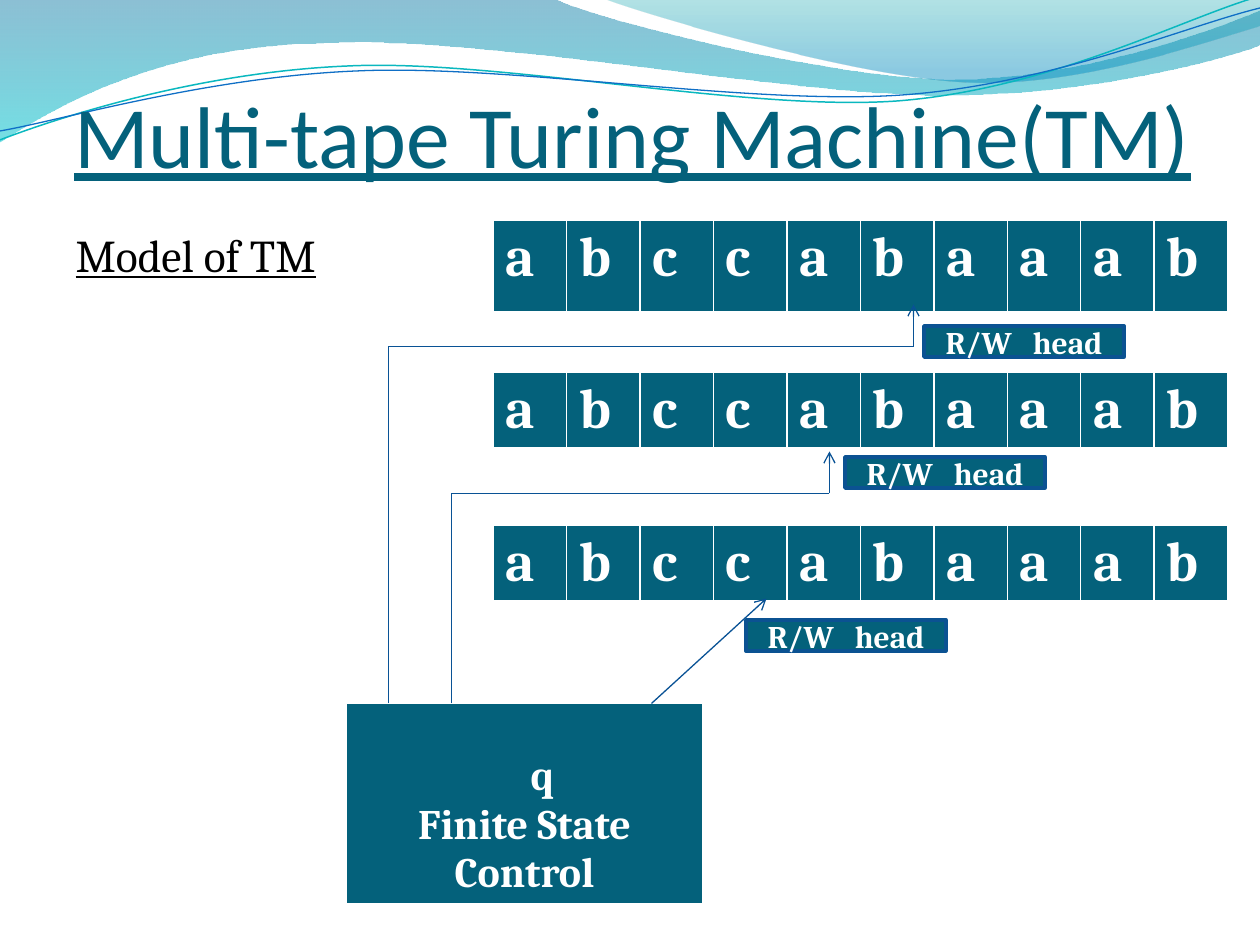
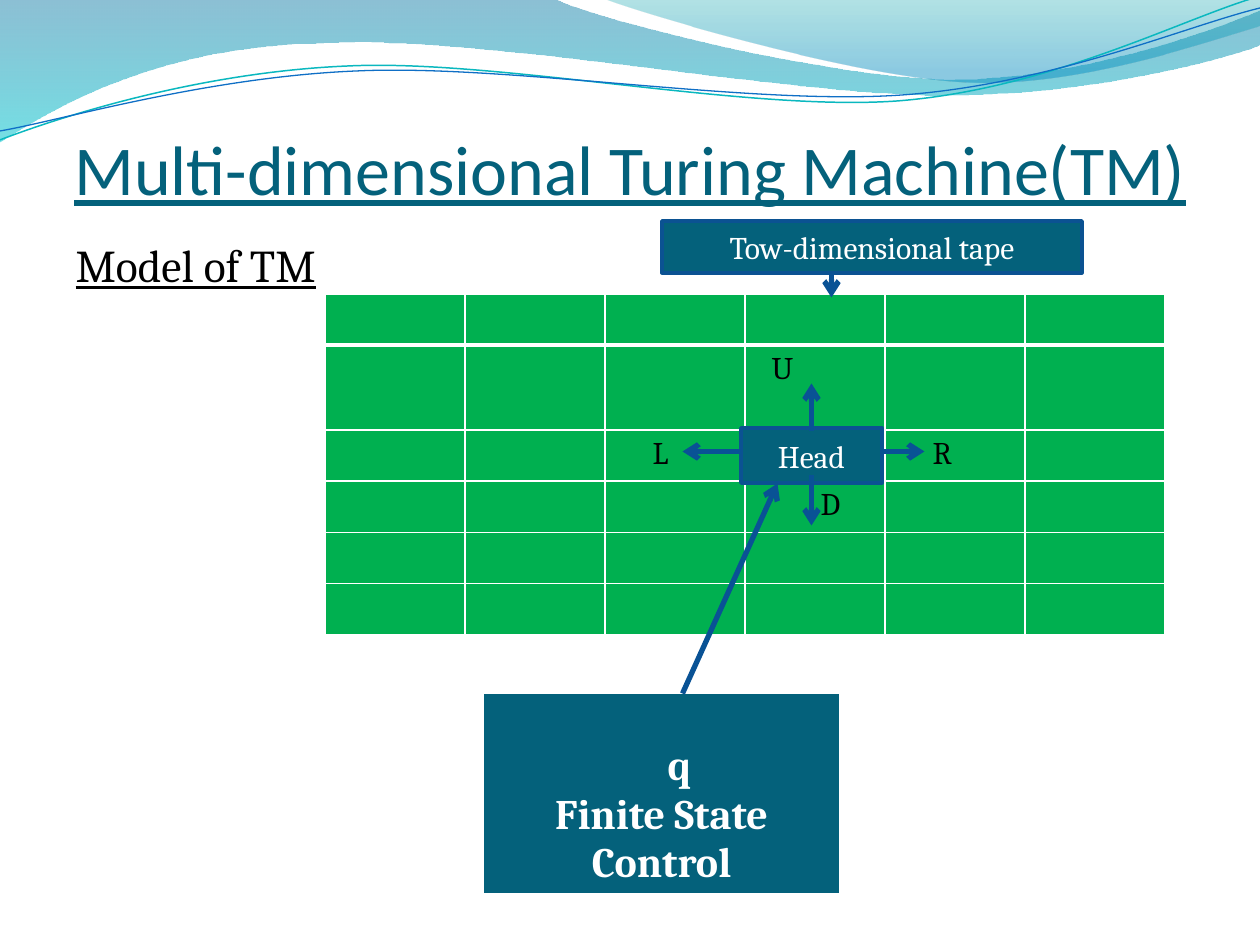
from math import cos, radians, sin

from lxml import etree
from pptx import Presentation
from pptx.dml.color import RGBColor
from pptx.enum.shapes import MSO_CONNECTOR, MSO_SHAPE
from pptx.enum.text import MSO_ANCHOR, MSO_AUTO_SIZE, PP_ALIGN
from pptx.oxml.ns import qn
from pptx.util import Emu, Pt

STRAIGHT = MSO_CONNECTOR.STRAIGHT
RECTANGLE = MSO_SHAPE.RECTANGLE
TOP, BOTTOM, MIDDLE = MSO_ANCHOR.TOP, MSO_ANCHOR.BOTTOM, MSO_ANCHOR.MIDDLE
LEFT, CENTER = PP_ALIGN.LEFT, PP_ALIGN.CENTER
NO_FIT = MSO_AUTO_SIZE.NONE

COLORS = {
    "teal": "04617B", "edge": "0B5292", "arrow": "095295",
    "green": "00B050", "white": "FFFFFF", "black": "000000",
    "wave_blue": "0074A1", "wave_aqua": "00C6CF",
    "crest_green": "00A1A9", "crest_blue": "008BBF",
    "ribbon_aqua": "0AB8BF", "ribbon_blue": "0F6FC6",
}
HEADING_FONT, TEXT_FONT = "Calibri", "Cambria"
SCALE = 914400 / 126
PIXEL_CENTER = 0.5
RIBBON_TILT = 2.7

WAVE = [[(0, 0)], [(554, -1)],
        [(600, 21), (837, 79), (955, 79)], [(1075, 79), (1207, 33), (1260, 11)],
        [(1261, 45)],
        [(1237, 55), (1096, 96), (940, 95)], [(784, 95), (481, 35), (324, 43)],
        [(163, 45), (58, 105), (-1, 142)]]
CREST = [[(604, -1)],
         [(641, 14), (859, 78), (969, 82)], [(1079, 87), (1211, 40), (1260, 26)],
         [(1260, 0)]]
AQUA_RIBBON = [[(0, 140)],
               [(60, 117), (199, 72), (349, 66)], [(498, 59), (747, 112), (898, 101)],
               [(1050, 89), (1182, 19), (1257, -3)]]
BLUE_RIBBON = [[(0, 131)],
               [(59, 121), (207, 77), (357, 71)], [(508, 64), (752, 106), (903, 95)],
               [(1053, 84), (1186, 26), (1260, 8)]]


def px(length):
    return Emu(round(length * SCALE))


def rgb(name):
    return RGBColor.from_string(COLORS[name])


def turn(path, center, degrees):
    (cx, cy), c, s = center, cos(radians(degrees)), sin(radians(degrees))
    return [[(cx + (x - cx) * c - (y - cy) * s, cy + (x - cx) * s + (y - cy) * c)
             for x, y in segment] for segment in path]


class Deck:
    def __init__(self):
        self.presentation = Presentation()
        self.presentation.slide_width = px(1260)
        self.presentation.slide_height = px(945)
        self.layout = self.presentation.slide_layouts[1]
        self.slide = None

    def add_slide(self):
        self.slide = self.presentation.slides.add_slide(self.layout)

    def style(self, paragraph, size, color, bold=False, align=LEFT, indent=0, font=TEXT_FONT):
        paragraph.alignment = align
        paragraph.font.name = font
        paragraph.font.size = Pt(size)
        paragraph.font.bold = bold
        paragraph.font.color.rgb = rgb(color)
        properties = paragraph._p.get_or_add_pPr()
        properties.set("marL", str(px(indent)))
        properties.set("indent", "0")

    def place(self, placeholder, box, text, anchor):
        placeholder.left, placeholder.top, placeholder.width, placeholder.height = map(px, box)
        frame = placeholder.text_frame
        frame.text = text
        frame.word_wrap = True
        frame.auto_size = NO_FIT
        frame.vertical_anchor = anchor
        frame.paragraphs[0].font.underline = True
        return frame

    def title(self, text, box, size, align):
        frame = self.place(self.slide.shapes.title, box, text, BOTTOM)
        frame.margin_left = frame.margin_right = frame.margin_bottom = 0
        frame.margin_top = px(6)
        self.style(frame.paragraphs[0], size, "teal", align=align, font=HEADING_FONT)

    def body(self, text, box):
        paragraph = self.place(self.slide.placeholders[1], box, text, TOP).paragraphs[0]
        self.style(paragraph, 26, "black")
        defaults = paragraph._p.get_or_add_pPr().find(qn("a:defRPr"))
        defaults.addprevious(etree.Element(qn("a:buNone")))

    def outline(self, path, closed):
        points = [(px(x), px(y)) for segment in path for x, y in segment]
        builder = self.slide.shapes.build_freeform(*points[0])
        builder.add_line_segments(points[1:], close=closed)
        shape = builder.convert_to_shape()
        shape.shadow.inherit = False
        steps = iter(list(shape.element.iter(qn("a:lnTo"))))
        for segment in path[1:]:
            first, *others = [next(steps) for _ in segment]
            if others:
                first.tag = qn("a:cubicBezTo")
                for step in others:
                    first.append(step[0])
                    step.getparent().remove(step)
        return shape

    def wave(self, path, stops):
        shape = self.outline(path, True)
        shape.line.fill.background()
        shape.fill.gradient()
        shape.fill.gradient_angle = 270
        for stop, (position, color, _) in zip(shape.fill.gradient_stops, stops):
            stop.position = position
            stop.color.rgb = rgb(color)
        for tone, (_, _, opacity) in zip(shape.element.spPr.iter(qn("a:srgbClr")), stops):
            etree.SubElement(tone, qn("a:alpha"), val=str(opacity * 1000))
        return shape

    def ribbon(self, path, center, color, weight):
        shape = self.outline(turn(path, center, RIBBON_TILT), False)
        shape.rotation = 360 - RIBBON_TILT
        shape.fill.background()
        shape.line.color.rgb = rgb(color)
        shape.line.width = Pt(weight)
        return shape

    def share_band(self):
        band = [
            self.wave(WAVE, [(0, "wave_blue", 45), (1, "wave_aqua", 55)]),
            self.wave(CREST, [(0, "crest_green", 30), (0.8, "crest_blue", 45)]),
            self.ribbon(AQUA_RIBBON, (629, 72), "ribbon_aqua", 0.85),
            self.ribbon(BLUE_RIBBON, (630, 74), "ribbon_blue", 0.75),
        ]
        for part in band:
            self.layout.shapes.element.append(part.element)

    def grid(self, box, rows, columns, color):
        table = self.slide.shapes.add_table(rows, columns, *map(px, box)).table
        table.first_row = table.horz_banding = False
        for row_index, row in enumerate(table.rows):
            for cell in row.cells:
                properties = cell._tc.get_or_add_tcPr()
                for side in "LRTB":
                    heavy = (side, row_index) in (("B", 0), ("T", 1))
                    border = etree.SubElement(properties, qn(f"a:ln{side}"),
                                              w=str(Pt(3 if heavy else 1)))
                    paint = etree.SubElement(border, qn("a:solidFill"))
                    etree.SubElement(paint, qn("a:srgbClr"), val=COLORS["white"])
                cell.fill.solid()
                cell.fill.fore_color.rgb = rgb(color)
        return table

    def tape(self, symbols, top, height):
        table = self.grid((493, top, 735, height), 1, len(symbols), "teal")
        for cell, symbol in zip(table.rows[0].cells, symbols):
            cell.text = symbol
            self.style(cell.text_frame.paragraphs[0], 32, "white", bold=True)

    def control(self, left, top):
        cell = self.grid((left, top, 357, 202), 1, 1, "teal").cell(0, 0)
        cell.margin_top = px(50)
        cell.text = "q\nFinite State Control"
        state, caption = cell.text_frame.paragraphs
        self.style(state, 24, "white", bold=True, indent=172)
        self.style(caption, 24, "white", bold=True, align=CENTER)

    def label(self, text, box, bold=False):
        shape = self.slide.shapes.add_shape(RECTANGLE, *map(px, box))
        shape.shadow.inherit = False
        shape.fill.solid()
        shape.fill.fore_color.rgb = rgb("teal")
        shape.line.color.rgb = rgb("edge")
        shape.line.width = Pt(2)
        shape.text_frame.text = text
        shape.text_frame.vertical_anchor = MIDDLE
        paragraph = shape.text_frame.paragraphs[0]
        self.style(paragraph, 18, "white", bold=bold, align=CENTER)
        return paragraph

    def head_label(self, left, top):
        paragraph = self.label("R/W", (left, top, 200, 31), bold=True)
        gap = paragraph.add_run()
        gap.text = " "
        gap._r.get_or_add_rPr().set("spc", "800")
        paragraph.add_run().text = "head"

    def line(self, start, end, weight, arrow=True):
        ends = [px(value + PIXEL_CENTER) for value in (*start, *end)]
        connector = self.slide.shapes.add_connector(STRAIGHT, *ends)
        connector.line.color.rgb = rgb("arrow")
        connector.line.width = Pt(weight)
        properties = connector.element.spPr
        if arrow:
            etree.SubElement(properties.find(qn("a:ln")), qn("a:tailEnd"), type="arrow")
        etree.SubElement(properties, qn("a:effectLst"))

    def route(self, points, weight):
        for index in range(1, len(points)):
            self.line(points[index - 1], points[index], weight, arrow=index == len(points) - 1)


deck = Deck()

deck.add_slide()
deck.share_band()
deck.title("Multi-tape Turing Machine(TM)", (74, 73, 1134, 113), 50, LEFT)
deck.body("Model of TM", (63, 221, 1134, 703))
for tape_top, tape_height in ((220, 93), (372, 77), (525, 77)):
    deck.tape("abccabaaab", tape_top, tape_height)
deck.control(346, 703)
for head_left, head_top in ((924, 326), (845, 457), (746, 620)):
    deck.head_label(head_left, head_top)
deck.route([(388, 703), (388, 346), (913, 346), (913, 304)], 0.75)
deck.route([(451, 703), (451, 493), (829, 493), (829, 451)], 0.75)
deck.route([(651, 703), (766, 598)], 0.75)

deck.add_slide()
deck.title("Multi-dimensional Turing Machine(TM)", (63, 97, 1134, 113), 40, CENTER)
deck.body("Model of TM", (63, 231, 1134, 640))
deck.control(483, 693)
plane = deck.grid((325, 294, 840, 306), 6, 6, "green")
plane.rows[1].height = px(85)
for row, column, direction, indent in ((1, 3, "U", 14), (2, 2, "L", 35),
                                       (2, 4, "R", 35), (3, 3, "D", 63)):
    move = plane.cell(row, column)
    move.text = direction
    deck.style(move.text_frame.paragraphs[0], 18, "black", indent=indent)
deck.line((682, 693), (777, 483), 3)
deck.label("Head", (741, 428, 141, 55))
for start, end in (((741, 451), (682, 451)), ((811, 475), (811, 525)),
                   ((882, 451), (924, 451)), ((811, 431), (811, 383))):
    deck.line(start, end, 3)
deck.label("Tow-dimensional tape", (662, 221, 420, 52))
deck.line((831, 273), (831, 297), 3)

deck.presentation.save("out.pptx")
